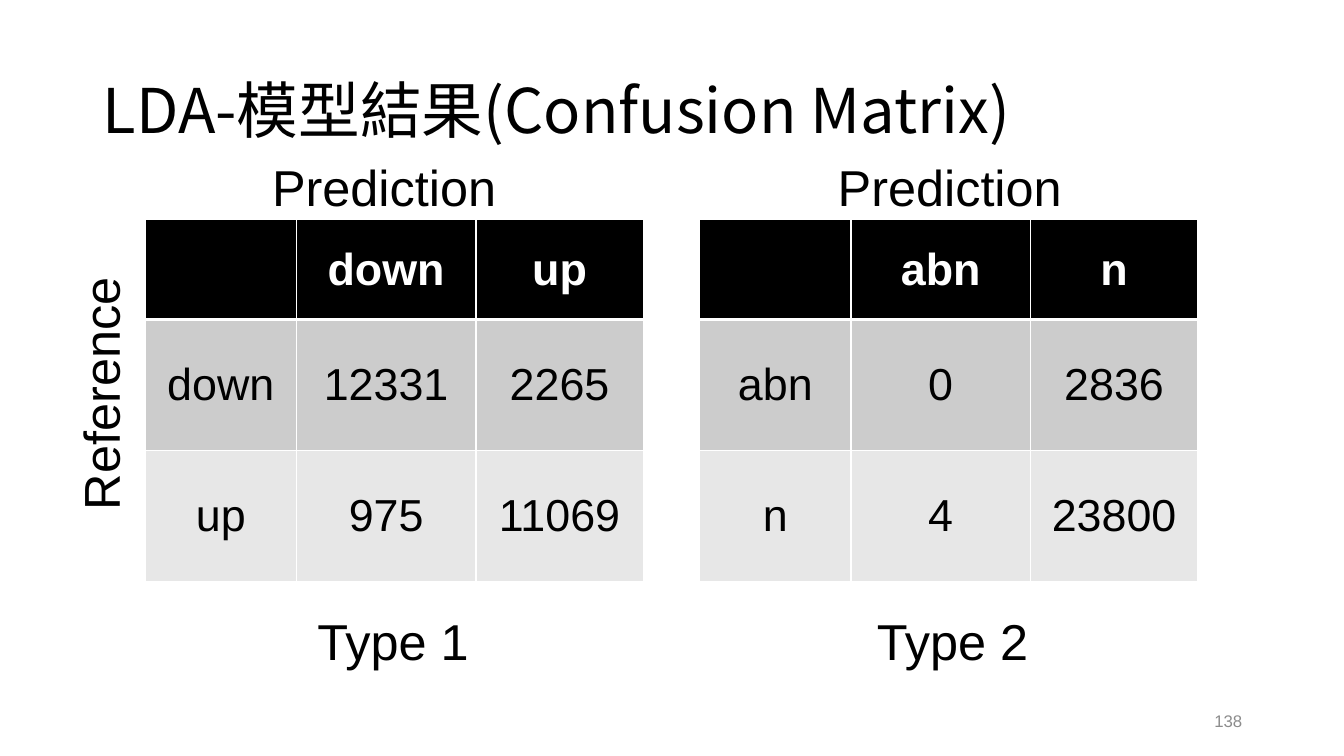
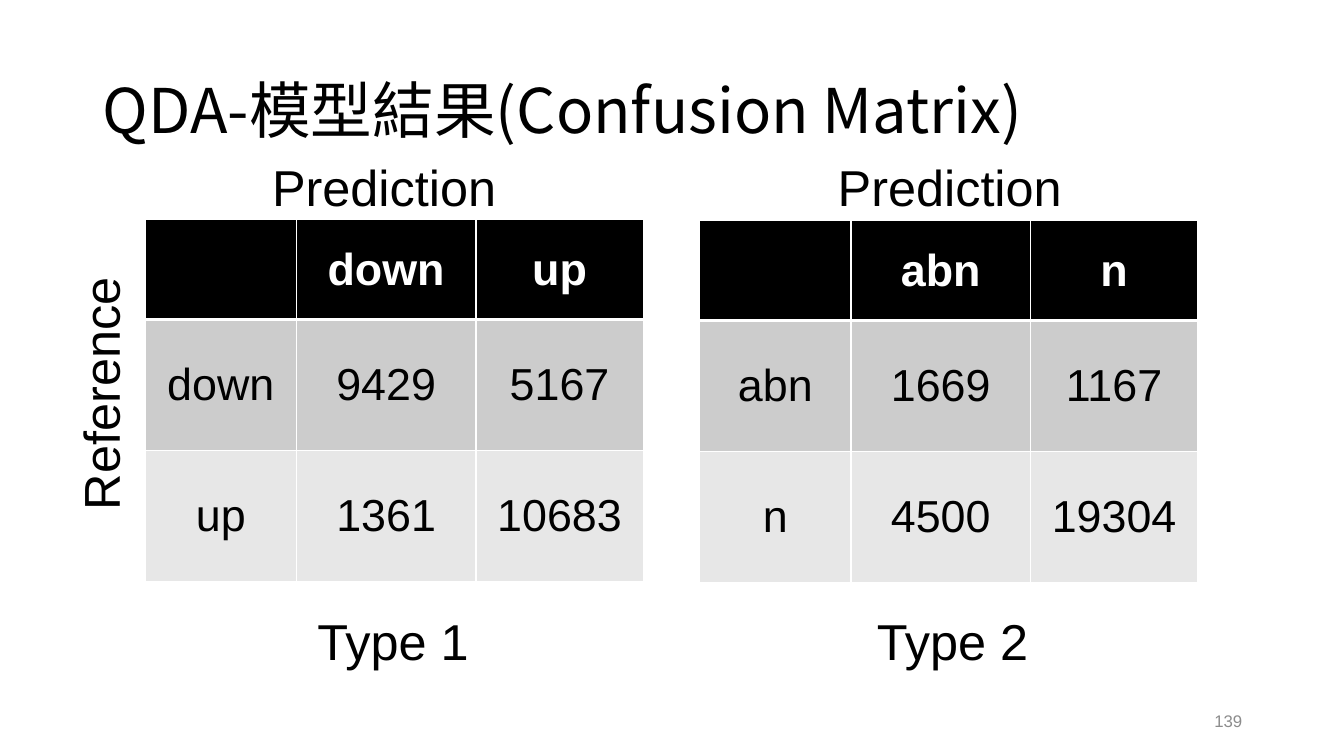
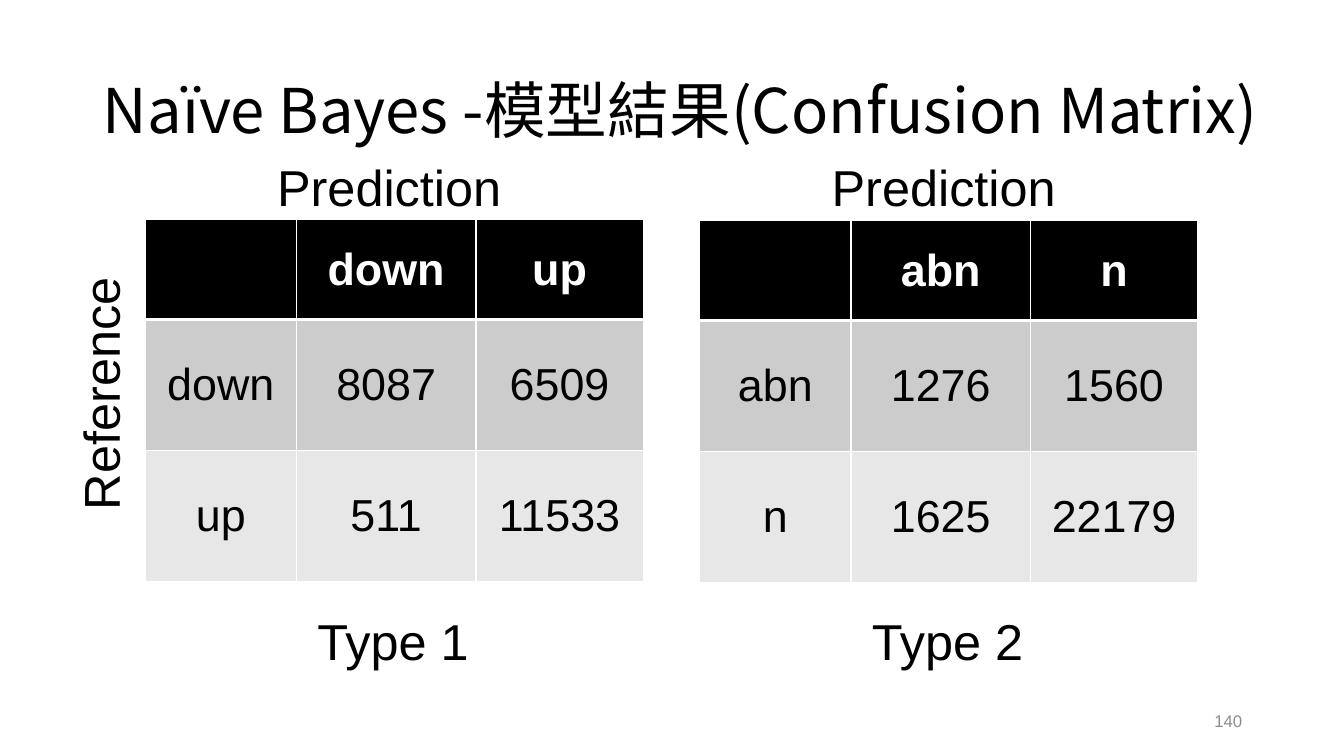
from lxml.etree import SubElement
from pptx import Presentation
from pptx.dml.color import RGBColor
from pptx.enum.text import MSO_ANCHOR as Anchor, MSO_AUTO_SIZE as AutoSize, PP_ALIGN as Align
from pptx.oxml.ns import qn
from pptx.util import Inches, Pt

COLORS = {
    "black": "000000",
    "white": "FFFFFF",
    "band_dark": "CCCCCC",
    "band_light": "E7E7E7",
    "number": "8C8C8C",
}
ROW_FILLS = ["black", "band_dark", "band_light"]
BODY_FONT = "Arial"
TITLE_FONT = "Noto Sans CJK SC"
COL_WIDTHS = [1.5, 1.78, 1.66]
ROW_HEIGHTS = [0.99, 1.3, 1.3]
LABEL_SIZE = 36
CELL_SIZE = 32
FIRST_NUMBER = 138
PANEL_TOP = 1.5
PANEL_LEFTS = [1.44, 6.94]
PANEL_CLASSES = [("down", "up"), ("abn", "n")]

SLIDES = [
    {
        "title": "LDA-模型結果(Confusion Matrix)",
        "title_width": 11.5,
        "counts": [[(12331, 2265), (975, 11069)], [(0, 2836), (4, 23800)]],
        "heading_dx": [1.16, 1.27],
        "caption_dx": [1.61, 1.66],
        "table_dy": [0.68, 0.68],
    },
    {
        "title": "QDA-模型結果(Confusion Matrix)",
        "title_width": 11.5,
        "counts": [[(9429, 5167), (1361, 10683)], [(1669, 1167), (4500, 19304)]],
        "heading_dx": [1.16, 1.27],
        "caption_dx": [1.61, 1.66],
        "table_dy": [0.68, 0.69],
    },
    {
        "title": "Naïve Bayes -模型結果(Confusion Matrix)",
        "title_width": 12,
        "counts": [[(8087, 6509), (511, 11533)], [(1276, 1560), (1625, 22179)]],
        "heading_dx": [1.21, 1.21],
        "caption_dx": [1.61, 1.61],
        "table_dy": [0.68, 0.69],
    },
]


def rgb(name):
    return RGBColor.from_string(COLORS[name])


def format_text(tf, size, color="black", font=BODY_FONT, bold=False, align=Align.LEFT):
    p = tf.paragraphs[0]
    p.alignment = align
    for r in p.runs:
        r.font.size = Pt(size)
        r.font.bold = bold
        r.font.name = font
        r.font.color.rgb = rgb(color)


def add_label(s, text, left, top, width, height, size=LABEL_SIZE, wrap=False, **style):
    tf = s.shapes.add_textbox(
        Inches(left), Inches(top), Inches(width), Inches(height)
    ).text_frame
    tf.word_wrap = wrap
    tf.text = text
    format_text(tf, size, **style)
    return tf


def set_borders(cell, widths):
    tc_pr = cell._tc.get_or_add_tcPr()
    for side, width in zip("LRTB", widths):
        ln = SubElement(tc_pr, qn(f"a:ln{side}"), w=str(Pt(width)))
        fill = SubElement(ln, qn("a:solidFill"))
        SubElement(fill, qn("a:srgbClr"), val=COLORS["white"])


def add_matrix_table(s, left, top, classes, counts):
    rows = [("", *classes)] + [(name, *row) for name, row in zip(classes, counts)]
    table = s.shapes.add_table(
        len(rows), len(COL_WIDTHS), Inches(left), Inches(top),
        Inches(sum(COL_WIDTHS)), Inches(sum(ROW_HEIGHTS)),
    ).table
    table.first_row = True
    table.horz_banding = False
    for column, width in zip(table.columns, COL_WIDTHS):
        column.width = Inches(width)
    for i, values in enumerate(rows):
        table.rows[i].height = Inches(ROW_HEIGHTS[i])
        header = i == 0
        for j, value in enumerate(values):
            cell = table.cell(i, j)
            set_borders(cell, (1, 1, 3 if i == 1 else 1, 3 if header else 1))
            cell.fill.solid()
            cell.fill.fore_color.rgb = rgb(ROW_FILLS[i])
            cell.vertical_anchor = Anchor.MIDDLE
            cell.text = str(value)
            format_text(cell.text_frame, CELL_SIZE, "white" if header else "black",
                        bold=header, align=Align.CENTER)


def add_panel(s, left, top, classes, counts, caption, heading_dx, caption_dx, table_dy):
    add_matrix_table(s, left, top + table_dy, classes, counts)
    add_label(s, "Prediction", left + heading_dx, top, 2.45, 0.71)
    add_label(s, caption, left + caption_dx, top + 4.5, 1.74, 0.71, wrap=True)


def add_title(s, text, width):
    sp = s.shapes.title
    sp.left, sp.top = Inches(0.92), Inches(0.4)
    sp.width, sp.height = Inches(width), Inches(1.45)
    tf = sp.text_frame
    tf.text = text
    tf.auto_size = AutoSize.NONE
    tf.vertical_anchor = Anchor.MIDDLE
    tf.paragraphs[0].line_spacing = 0.9
    format_text(tf, 44, font=TITLE_FONT)
    for r in tf.paragraphs[0].runs:
        SubElement(r.font._element, qn("a:ea"), typeface=TITLE_FONT)


def add_reference_label(s, left, top):
    tf = add_label(s, "Reference", left, top, 0.81, 2.43)
    tf._txBody.bodyPr.set("vert", "vert270")


def add_slide_number(s, number):
    tf = add_label(s, str(number), 9.42, 6.95, 3, 0.4, size=12, wrap=True,
                   color="number", align=Align.RIGHT)
    tf.vertical_anchor = Anchor.MIDDLE


def build_slide(prs, data, number):
    s = prs.slides.add_slide(prs.slide_layouts[5])
    add_title(s, data["title"], data["title_width"])
    add_slide_number(s, number)
    for i, (left, classes) in enumerate(zip(PANEL_LEFTS, PANEL_CLASSES)):
        add_panel(s, left, PANEL_TOP, classes, data["counts"][i], f"Type {i + 1}",
                  data["heading_dx"][i], data["caption_dx"][i], data["table_dy"][i])
    add_reference_label(s, PANEL_LEFTS[0] - 0.8, PANEL_TOP + 1.23)


def main():
    prs = Presentation()
    prs.slide_width, prs.slide_height = Inches(13.33), Inches(7.5)
    for number, data in enumerate(SLIDES, FIRST_NUMBER):
        build_slide(prs, data, number)
    prs.save("out.pptx")


if __name__ == "__main__":
    main()
